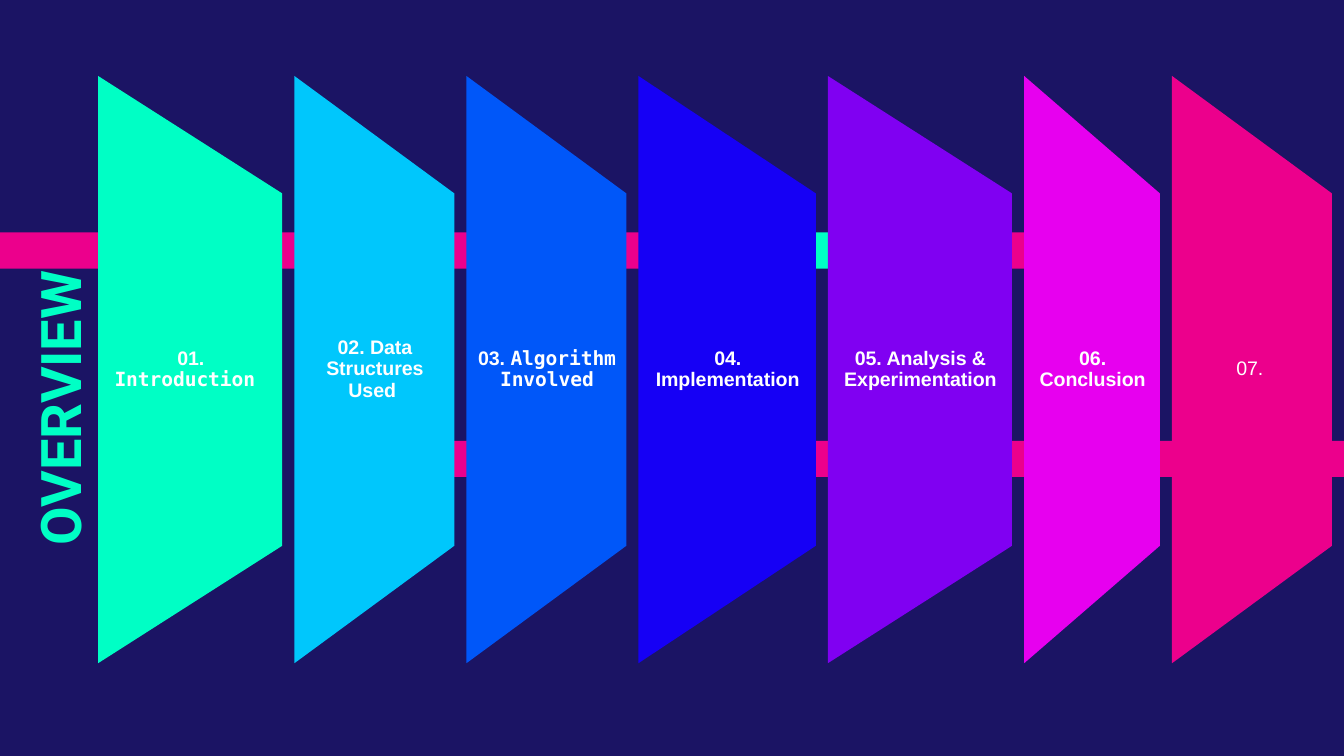
"""Build the overview slide: seven coloured section panels over horizontal bars."""
from pptx import Presentation
from pptx.dml.color import RGBColor
from pptx.enum import shapes, text
from pptx.util import Inches, Pt

NAVY, PINK, MINT, WHITE = "1B1464", "EC008C", "00FFC5", "FFFFFF"
SANS, MONO = "Arial", "DejaVu Sans Mono"
TOP, MIDDLE = text.MSO_ANCHOR.TOP, text.MSO_ANCHOR.MIDDLE

SLIDE_WIDTH = 10
SLIDE_HEIGHT = SLIDE_WIDTH * 9 / 16

BAR_HEIGHT = 0.27
BARS = [
    (0, 1.73, 4.77, PINK),
    (6.65, 1.73, 1.36, PINK),
    (2.38, 3.28, 1.36, PINK),
    (5.1, 3.28, 4.9, PINK),
    (4.98, 1.73, 1.47, MINT),
]

SECTIONS = [
    (1.37, MINT, True, [("01. ", SANS), ("Introduction ", MONO)]),
    (1.19, "00C7FC", True, [("02. Data Structures Used ", SANS)]),
    (1.19, "0057F9", True, [("03. ", SANS), ("Algorithm Involved", MONO)]),
    (1.32, "1600F5", True, [("04. Implementation", SANS)]),
    (1.37, "8000F2", True, [("05. Analysis & Experimentation", SANS)]),
    (1.01, "E700EF", True, [("06. Conclusion", SANS)]),
    (1.19, PINK, False, [("07. ", SANS)]),
]
PANEL_LEFT, PANEL_GAP, PANEL_HEIGHT, CENTRE_Y = 0.73, 0.09, 4.37, 2.75
LABEL_HEIGHT = 2.62


def rgb(value):
    return RGBColor.from_string(value)


def add_block(parent, kind, box, color, rotation=0):
    sp = parent.add_shape(kind, *map(Inches, box))
    sp.shadow.inherit = False
    sp.fill.solid()
    sp.fill.fore_color.rgb = rgb(color)
    sp.line.fill.background()
    sp.rotation = rotation


def add_label(parent, box, insets, runs, size, color, bold, anchor,
              spacing=1.0, rotation=0):
    sp = parent.add_textbox(*map(Inches, box))
    sp.rotation = rotation
    tf = sp.text_frame
    tf.word_wrap = True
    tf.vertical_anchor = anchor
    for side, inset in zip(("left", "top", "right", "bottom"), insets):
        setattr(tf, f"margin_{side}", Inches(inset))
    p = tf.paragraphs[0]
    p.alignment = text.PP_ALIGN.CENTER
    p.line_spacing = spacing
    for words, font in runs:
        r = p.add_run()
        r.text = words
        for name, value in {"name": font, "size": Pt(size), "bold": bold}.items():
            setattr(r.font, name, value)
        r.font.color.rgb = rgb(color)


def main():
    prs = Presentation()
    prs.slide_width, prs.slide_height = Inches(SLIDE_WIDTH), Inches(SLIDE_HEIGHT)
    s = prs.slides.add_slide(prs.slide_layouts[6])
    s.background.fill.solid()
    s.background.fill.fore_color.rgb = rgb(NAVY)

    for left, top, width, color in BARS:
        add_block(s.shapes, shapes.MSO_SHAPE.RECTANGLE,
                  (left, top, width, BAR_HEIGHT), color)

    add_label(s.shapes, (-1.57, 2.67, 4.05, 0.73), [0.1] * 4,
              [("OVERVIEW", "Roboto")], 30, MINT, True, TOP, rotation=270)

    panels = s.shapes.add_group_shape().shapes
    left = PANEL_LEFT
    for width, color, bold, runs in SECTIONS:
        turned = (left + (width - PANEL_HEIGHT) / 2, CENTRE_Y - width / 2,
                  PANEL_HEIGHT, width)
        add_block(panels, shapes.MSO_SHAPE.FLOWCHART_MANUAL_OPERATION,
                  turned, color, 270)
        add_label(panels, (left, CENTRE_Y - LABEL_HEIGHT / 2, width, LABEL_HEIGHT),
                  (0.08, 0, 0.07, 0), runs, 10.5, WHITE, bold, MIDDLE, 0.9)
        left += width + PANEL_GAP

    prs.save("out.pptx")


if __name__ == "__main__":
    main()
